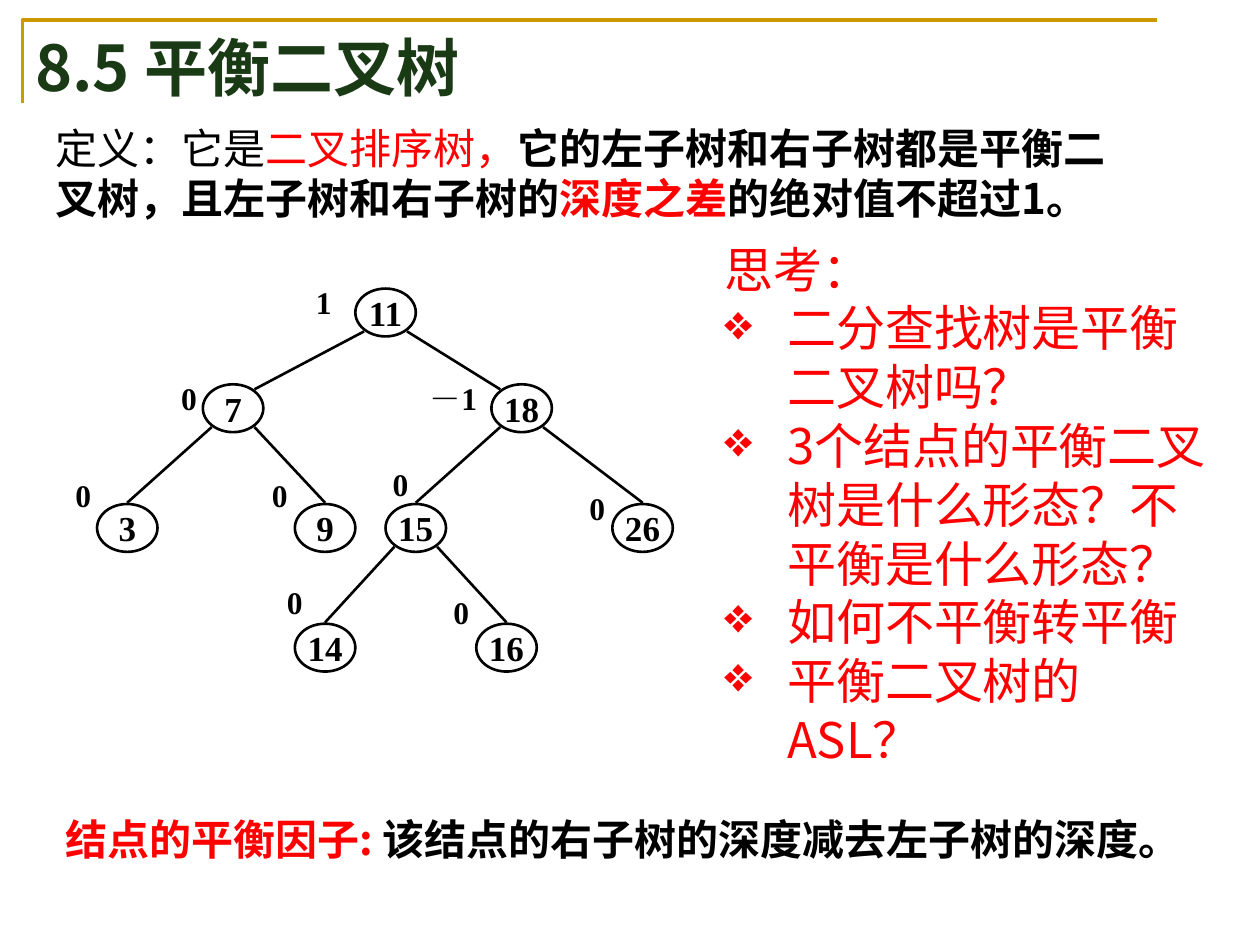
"""Build a slide that defines balanced binary trees beside an example tree."""
from lxml import etree
from pptx import Presentation
from pptx.dml.color import RGBColor
from pptx.enum import shapes, text
from pptx.oxml import ns
from pptx.util import Inches, Pt

THEME = {
    "ink": "000000", "red": "FF0000", "green": "1A3A15", "gold": "CC9900",
    "sans": "Noto Sans CJK SC", "serif": "Times New Roman",
    "title": 36, "body": 24, "ask": 28, "key": 20, "mark": 18,
    "rule": 2, "edge": 1.5,
}

TITLE = "8.5 平衡二叉树"
RULE = [(0.18, 0.82), (0.18, 0.16), (9.18, 0.16)]
DEF = [
    ("定义：它是", "ink", False),
    ("二叉排序树，", "red", False),
    ("它的左子树和右子树都是平衡二叉树，且左子树和右子树的", "ink", True),
    ("深度之差", "red", True),
    ("的绝对值不超过1。", "ink", True),
]
FACTOR = [
    ("结点的平衡因子: ", "red", True),
    ("该结点的右子树的深度减去左子树的深度。", "ink", True),
]
HEAD = "思考："
ASKS = [
    "二分查找树是平衡二叉树吗？",
    "3个结点的平衡二叉树是什么形态？不平衡是什么形态？",
    "如何不平衡转平衡",
    "平衡二叉树的ASL？",
]
# key: (centre x, level, parent, balance factor, factor centre)
TREE = {
    "11": (3.06, 0, None, "1", (2.57, 2.43)),
    "7": (1.85, 1, "11", "0", (1.5, 3.19)),
    "18": (4.14, 1, "11", "－1", (3.6, 3.19)),
    "3": (1.01, 2, "7", "0", (0.66, 3.96)),
    "9": (2.58, 2, "7", "0", (2.22, 3.96)),
    "15": (3.3, 2, "18", "0", (3.18, 3.87)),
    "26": (5.1, 2, "18", "0", (4.74, 4.06)),
    "14": (2.58, 3, "15", "0", (2.34, 4.81)),
    "16": (4.02, 3, "15", "0", (3.66, 4.89)),
}
ROWS = [2.48, 3.24, 4.19, 5.14]
WIDE, HIGH = 0.48, 0.38
DX, DY = 0.17, 0.15


def tint(name):
    return RGBColor.from_string(THEME[name])


def stroke(line, name="ink", width="edge"):
    line.color.rgb = tint(name)
    line.width = Pt(THEME[width])


def write(frame, paras, size, font="sans", align="LEFT", wrap=True,
          anchor="TOP", lead=None, bullet=None):
    """Fill a text frame with paragraphs of (text, colour, bold) runs."""
    frame.word_wrap = wrap
    frame.vertical_anchor = getattr(text.MSO_ANCHOR, anchor)
    for i, runs in enumerate(paras):
        para = frame.paragraphs[0] if i == 0 else frame.add_paragraph()
        para.alignment = getattr(text.PP_ALIGN, align)
        if lead:
            para.line_spacing = Pt(THEME[size] * lead)
        if bullet and i:
            props = para._p.get_or_add_pPr()
            props.set("marL", str(Inches(0.5)))
            props.set("indent", str(Inches(-0.5)))
            etree.SubElement(props, ns.qn("a:buChar")).set("char", bullet)
        for words, color, bold in runs:
            run = para.add_run()
            run.text = words
            run.font.size = Pt(THEME[size])
            run.font.bold = bold
            run.font.name = THEME[font]
            run.font.color.rgb = tint(color)
            face = etree.SubElement(run._r.get_or_add_rPr(), ns.qn("a:ea"))
            face.set("typeface", THEME[font])


def label(slide, box, paras, size, **style):
    frame = slide.shapes.add_textbox(*map(Inches, box)).text_frame
    write(frame, paras, size, **style)


def frame_rule(slide):
    pts = [(Inches(x), Inches(y)) for x, y in RULE]
    pen = slide.shapes.build_freeform(*pts[0])
    pen.add_line_segments(pts[1:], close=False)
    shape = pen.convert_to_shape()
    shape.shadow.inherit = False
    shape.fill.background()
    stroke(shape.line, "gold", "rule")


def edge(slide, key):
    x, level, up, _, _ = TREE[key]
    if up is None:
        return
    px, rank = TREE[up][:2]
    side = 1 if x > px else -1
    start = px + side * DX, ROWS[rank] + DY
    if level == 1:
        end = x - side * DX, ROWS[level] - DY
    else:
        end = x, ROWS[level] - HIGH / 2 - 0.01
    line = slide.shapes.add_connector(
        shapes.MSO_CONNECTOR.STRAIGHT, *map(Inches, start + end))
    stroke(line.line)
    etree.SubElement(line._element.spPr, ns.qn("a:effectLst"))


def node(slide, key):
    x, level, _, mark, (mx, my) = TREE[key]
    box = x - WIDE / 2, ROWS[level] - HIGH / 2, WIDE, HIGH
    oval = slide.shapes.add_shape(shapes.MSO_SHAPE.OVAL, *map(Inches, box))
    oval.shadow.inherit = False
    oval.fill.background()
    stroke(oval.line)
    style = {"font": "serif", "align": "CENTER", "wrap": False}
    write(oval.text_frame, [[(key, "ink", True)]], "key",
          anchor="MIDDLE", **style)
    wide = 0.83 if len(mark) > 1 else 0.47
    label(slide, (mx - wide / 2, my - 0.23, wide, 0.46),
          [[(mark, "ink", True)]], "mark", **style)


def main():
    deck = Presentation()
    deck.slide_width, deck.slide_height = Inches(10), Inches(7.5)
    slide = deck.slides.add_slide(deck.slide_layouts[6])
    frame_rule(slide)
    label(slide, (0.18, 0.18, 8.67, 0.64), [[(TITLE, "green", True)]],
          "title", lead=1.2)
    label(slide, (0.34, 0.92, 8.82, 0.91), [DEF], "body", lead=1.2)
    label(slide, (0.42, 6.41, 9.2, 0.51), [FACTOR], "body", lead=1.2)
    for key in TREE:
        edge(slide, key)
    for key in TREE:
        node(slide, key)
    asks = [[(words, "red", False)] for words in [HEAD] + ASKS]
    label(slide, (5.65, 1.85, 4.03, 3.87), asks, "ask", lead=1.2, bullet="❖")
    deck.save("out.pptx")


if __name__ == "__main__":
    main()
